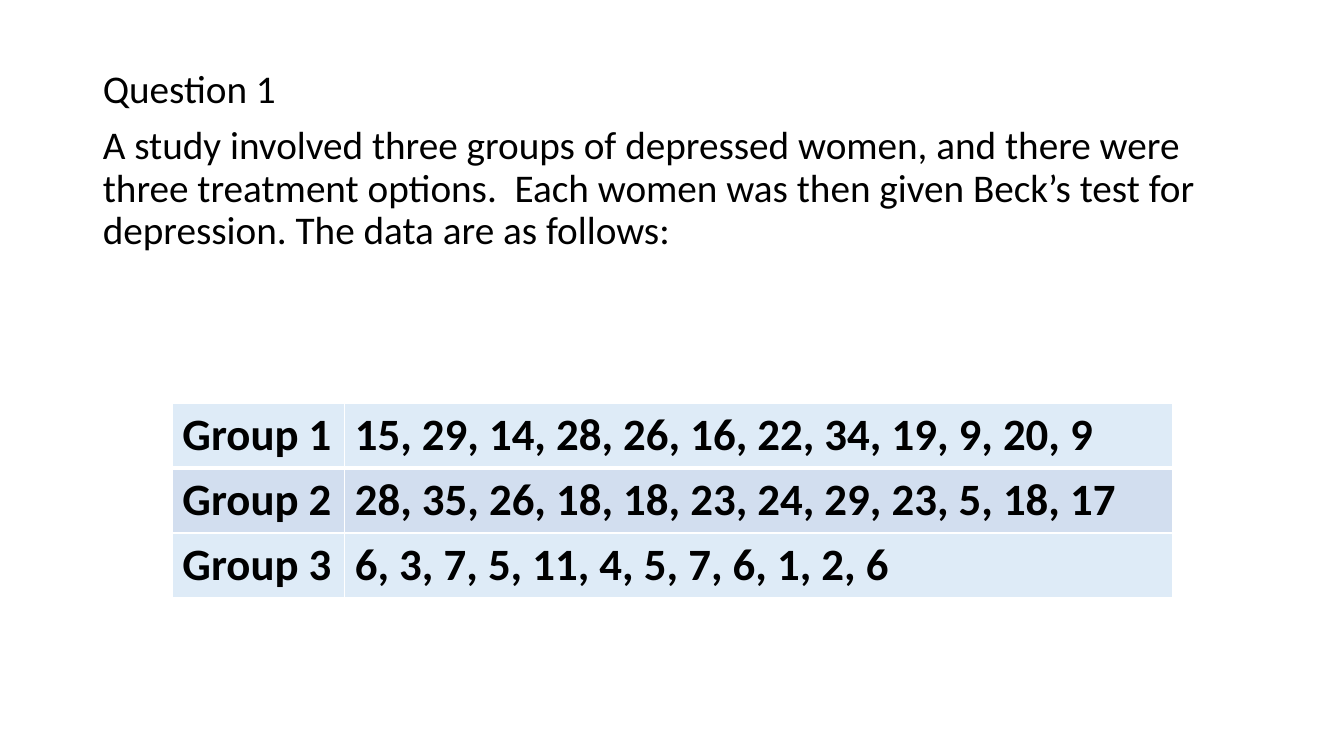
from lxml import etree
from pptx import Presentation
from pptx import util as u
from pptx.dml.color import RGBColor
from pptx.enum import text
from pptx.oxml.ns import qn

COLORS = {"ink": "000000", "border": "FFFFFF", "light": "DEEBF7", "medium": "D2DEEF"}
FONT = "Calibri"
QUESTION = [
    "Question 1",
    "A study involved three groups of depressed women, and there were three "
    "treatment options.  Each women was then given Beck’s test for depression. "
    "The data are as follows:",
]
SCORES = [
    ("Group 1", "15, 29, 14, 28, 26, 16, 22, 34, 19, 9, 20, 9"),
    ("Group 2", "28, 35, 26, 18, 18, 23, 24, 29, 23, 5, 18, 17"),
    ("Group 3", "6, 3, 7, 5, 11, 4, 5, 7, 6, 1, 2, 6"),
]


def format_runs(paragraph, size, bold):
    for run in paragraph.runs:
        run.font.name = FONT
        run.font.size = u.Pt(size)
        run.font.bold = bold
        run.font.color.rgb = RGBColor.from_string(COLORS["ink"])


def add_question(body, box):
    body.left, body.top, body.width, body.height = map(u.Inches, box)
    frame = body.text_frame
    frame.text = "\n".join(QUESTION)
    frame.auto_size = text.MSO_AUTO_SIZE.NONE
    frame.vertical_anchor = text.MSO_ANCHOR.TOP
    for paragraph in frame.paragraphs:
        paragraph.line_spacing = 0.9
        paragraph.space_before = u.Pt(10)
        properties = paragraph._p.get_or_add_pPr()
        properties.set("marL", "0")
        properties.set("indent", "0")
        etree.SubElement(properties, qn("a:buNone"))
        format_runs(paragraph, 28, False)


def set_border(cell, side, width):
    line = etree.SubElement(cell._tc.get_or_add_tcPr(), qn(f"a:ln{side}"), w=str(u.Pt(width)))
    fill = etree.SubElement(line, qn("a:solidFill"))
    etree.SubElement(fill, qn("a:srgbClr"), val=COLORS["border"])


def add_scores(slide, box):
    left, top, width, height = map(u.Inches, box)
    scores = slide.shapes.add_table(len(SCORES), 2, left, top, width, height).table
    scores.columns[0].width = u.Inches(1.71)
    scores.columns[1].width = width - u.Inches(1.71)
    for row, entries in enumerate(SCORES):
        for column, entry in enumerate(entries):
            cell = scores.cell(row, column)
            cell.text = entry
            format_runs(cell.text_frame.paragraphs[0], 32, True)
            for side in "LRTB":
                under_first = (row, side) in ((0, "B"), (1, "T"))
                set_border(cell, side, 3 if under_first else 1)
            cell.fill.solid()
            shade = COLORS["medium" if row % 2 else "light"]
            cell.fill.fore_color.rgb = RGBColor.from_string(shade)


def main():
    deck = Presentation()
    deck.slide_width, deck.slide_height = u.Inches(13.33), u.Inches(7.5)
    slide = deck.slides.add_slide(deck.slide_layouts[1])
    title = slide.shapes.title
    title._element.getparent().remove(title._element)
    add_question(slide.placeholders[1], (0.92, 0.64, 11.5, 6.12))
    add_scores(slide, (1.71, 4, 9.92, 1.92))
    deck.save("out.pptx")


if __name__ == "__main__":
    main()
